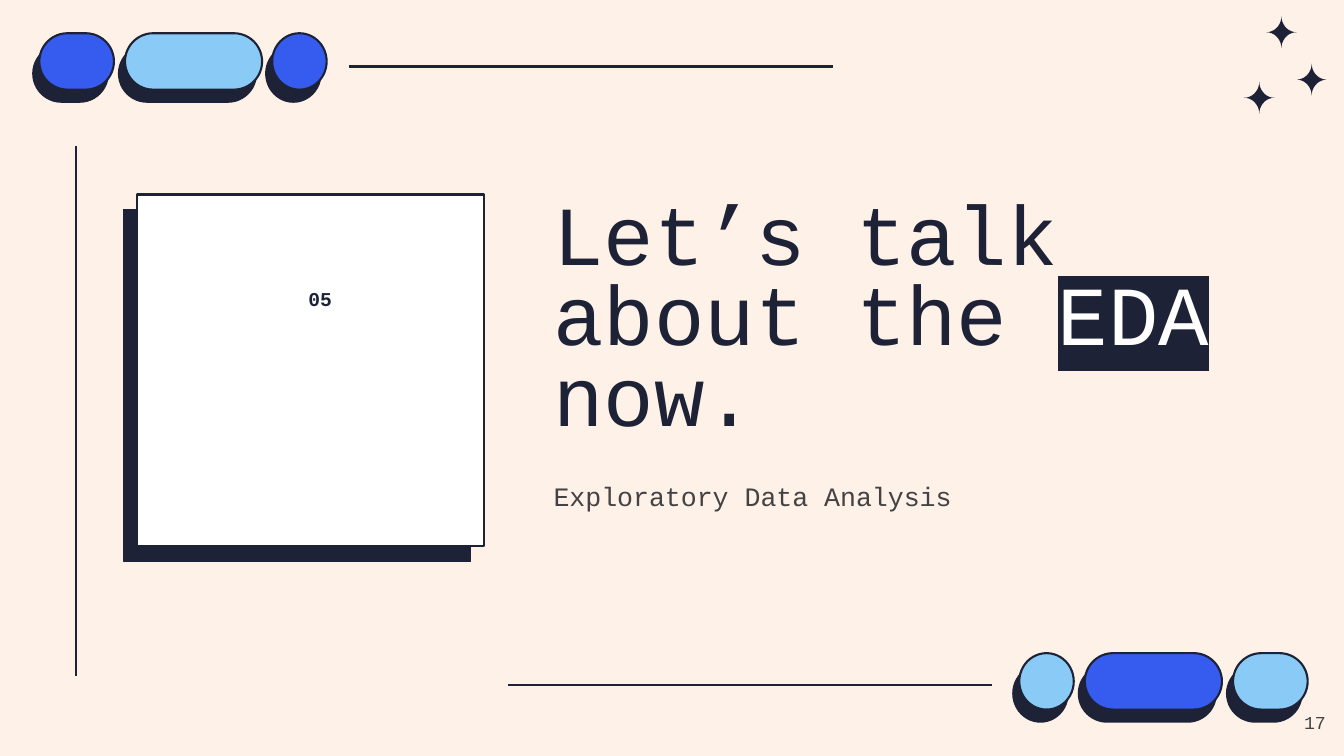
from dataclasses import dataclass
from math import cos, radians, sin

from lxml import etree
from pptx import Presentation
from pptx.dml.color import RGBColor
from pptx.enum.shapes import MSO_CONNECTOR as Connector, MSO_SHAPE as Shape
from pptx.enum.text import MSO_ANCHOR as Anchor, MSO_AUTO_SIZE as AutoSize, PP_ALIGN as Align
from pptx.oxml.ns import qn
from pptx.util import Inches, Pt


@dataclass(frozen=True)
class Theme:
    paper: str = "FEF1E8"
    ink: str = "1D2236"
    blue: str = "365CEF"
    sky: str = "8ACAF6"
    white: str = "FFFFFF"
    grey: str = "434343"
    font: str = "Courier New"
    title: int = 60
    subtitle: int = 19
    section: int = 14
    number: int = 13
    line: float = 1.5


THEME = Theme()


def rgb(value):
    return RGBColor.from_string(value)


def add_box(s, kind, left, top, width, height, fill, line=THEME.line):
    sp = s.shapes.add_shape(kind, Inches(left), Inches(top), Inches(width), Inches(height))
    sp.shadow.inherit = False
    sp.fill.solid()
    sp.fill.fore_color.rgb = rgb(fill)
    sp.line.color.rgb = rgb(THEME.ink)
    sp.line.width = Pt(line)
    return sp


def add_pill(s, left, top, width, fill):
    kind = Shape.OVAL if width < 0.6 else Shape.ROUNDED_RECTANGLE
    for dx, dy, colour in ((-0.06, 0.12, THEME.ink), (0, 0, fill)):
        sp = add_box(s, kind, left + dx, top + dy, width, 0.56, colour)
        if kind == Shape.ROUNDED_RECTANGLE:
            sp.adjustments[0] = 0.5


def add_line(s, x1, y1, x2, y2):
    line = s.shapes.add_connector(
        Connector.STRAIGHT, Inches(x1), Inches(y1), Inches(x2), Inches(y2))
    line.line.color.rgb = rgb(THEME.ink)
    line.line.width = Pt(THEME.line)
    etree.SubElement(line._element.spPr, qn("a:effectLst"))


def add_star(s, cx, cy, rx=0.15, ry=0.16):
    points = []
    for quarter, (sx, sy) in enumerate(((1, -1), (1, 1), (-1, 1), (-1, -1))):
        for step in range(0, 90, 10):
            angle = radians(180 + 90 * quarter - step)
            points.append((Inches(cx + rx * (sx + cos(angle))),
                           Inches(cy + ry * (sy + sin(angle)))))
    builder = s.shapes.build_freeform(*points[0])
    builder.add_line_segments(points[1:], close=True)
    sp = builder.convert_to_shape()
    sp.shadow.inherit = False
    sp.fill.solid()
    sp.fill.fore_color.rgb = rgb(THEME.ink)
    sp.line.fill.background()


def add_run(p, text, size, colour, bold=False, highlight=None):
    r = p.add_run()
    r.text = text
    r.font.size = Pt(size)
    r.font.bold = bold
    r.font.color.rgb = rgb(colour)
    if highlight:
        mark = etree.Element(qn("a:highlight"))
        etree.SubElement(mark, qn("a:srgbClr"), val=highlight)
        r.font._element.find(qn("a:solidFill")).addnext(mark)
    r.font.name = THEME.font


def format_frame(sp, inset):
    tf = sp.text_frame
    tf.word_wrap = True
    tf.auto_size = AutoSize.NONE
    tf.vertical_anchor = Anchor.TOP
    tf.margin_left = tf.margin_right = tf.margin_top = tf.margin_bottom = Inches(inset)
    return tf.paragraphs[0]


def add_text(s, left, top, width, height, text, size, colour,
             align=Align.LEFT, bold=False, inset=0.13):
    sp = s.shapes.add_textbox(Inches(left), Inches(top), Inches(width), Inches(height))
    p = format_frame(sp, inset)
    p.alignment = align
    add_run(p, text, size, colour, bold)
    return p


def set_title(s):
    sp = s.shapes.title
    sp.left, sp.top, sp.width, sp.height = map(Inches, (5.36, 1.86, 7.72, 2.26))
    p = format_frame(sp, 0.13)
    p.alignment = Align.LEFT
    p.line_spacing = 0.8
    add_run(p, "Let’s talk about the ", THEME.title, THEME.ink)
    add_run(p, "EDA", THEME.title, THEME.white, highlight=THEME.ink)
    add_run(p, " now.", THEME.title, THEME.ink)


def main():
    prs = Presentation()
    prs.slide_width, prs.slide_height = Inches(13.33), Inches(7.5)
    s = prs.slides.add_slide(prs.slide_layouts[5])
    s.background.fill.solid()
    s.background.fill.fore_color.rgb = rgb(THEME.paper)

    for cx, cy in ((12.49, 0.97), (12.71, 0.32), (13.01, 0.79)):
        add_star(s, cx, cy)
    for ends in ((0.75, 1.45, 0.75, 6.71), (3.46, 0.66, 8.26, 0.66), (5.04, 6.8, 9.84, 6.8)):
        add_line(s, *ends)
    for left, top, width, fill in (
        (0.39, 0.33, 0.74, THEME.blue),
        (1.24, 0.33, 1.36, THEME.sky),
        (2.7, 0.33, 0.54, THEME.blue),
        (10.11, 6.48, 0.54, THEME.sky),
        (10.76, 6.48, 1.36, THEME.blue),
        (12.23, 6.48, 0.74, THEME.sky),
    ):
        add_pill(s, left, top, width, fill)

    add_box(s, Shape.RECTANGLE, 1.23, 2.08, 3.44, 3.49, THEME.ink, line=0.75)
    add_box(s, Shape.RECTANGLE, 1.36, 1.93, 3.44, 3.49, THEME.white)
    add_text(s, 1.79, 2.8, 2.77, 1.9, "05", THEME.section, THEME.ink,
             Align.CENTER, bold=True, inset=0.05)

    set_title(s)
    subtitle = add_text(s, 5.36, 4.58, 6.92, 0.83, "Exploratory Data Analysis",
                        THEME.subtitle, THEME.grey)
    subtitle.line_spacing = 1.15
    add_text(s, 12.48, 6.93, 0.8, 0.57, "17", THEME.number, THEME.grey, Align.RIGHT)
    prs.save("out.pptx")


if __name__ == "__main__":
    main()
